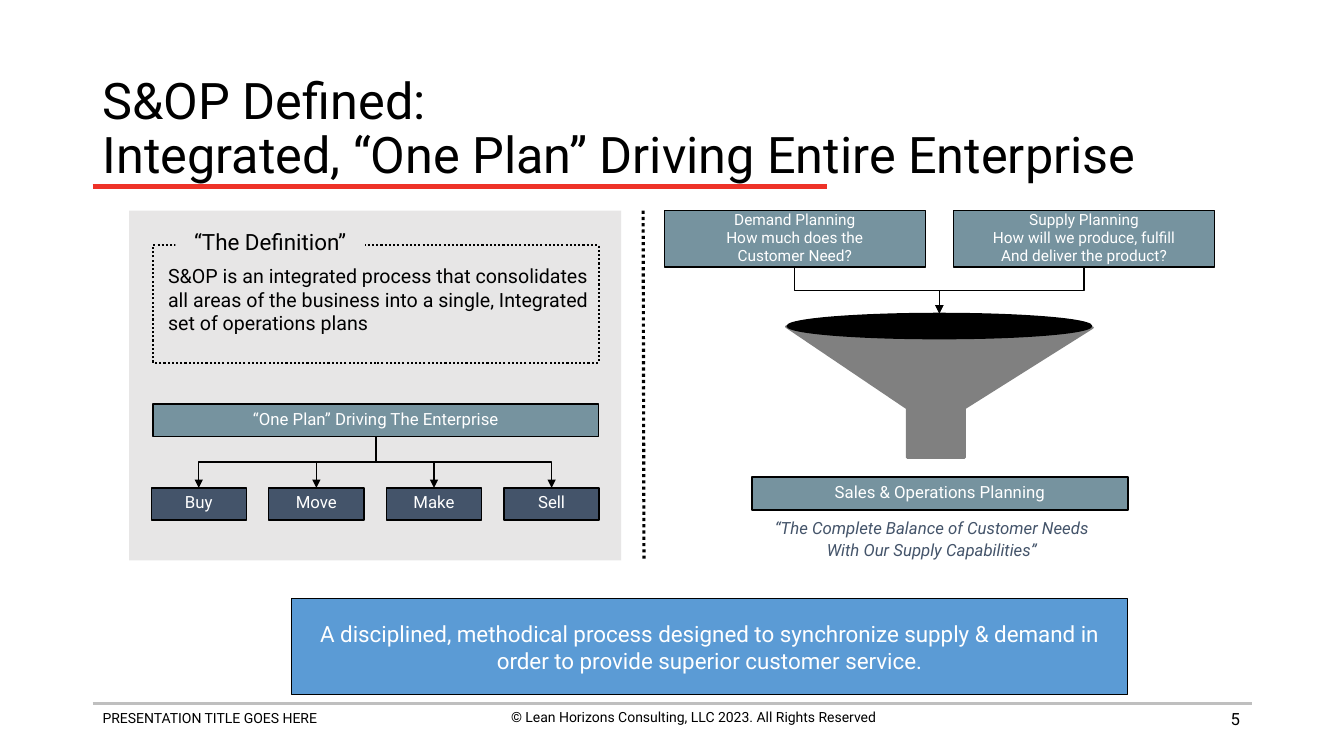
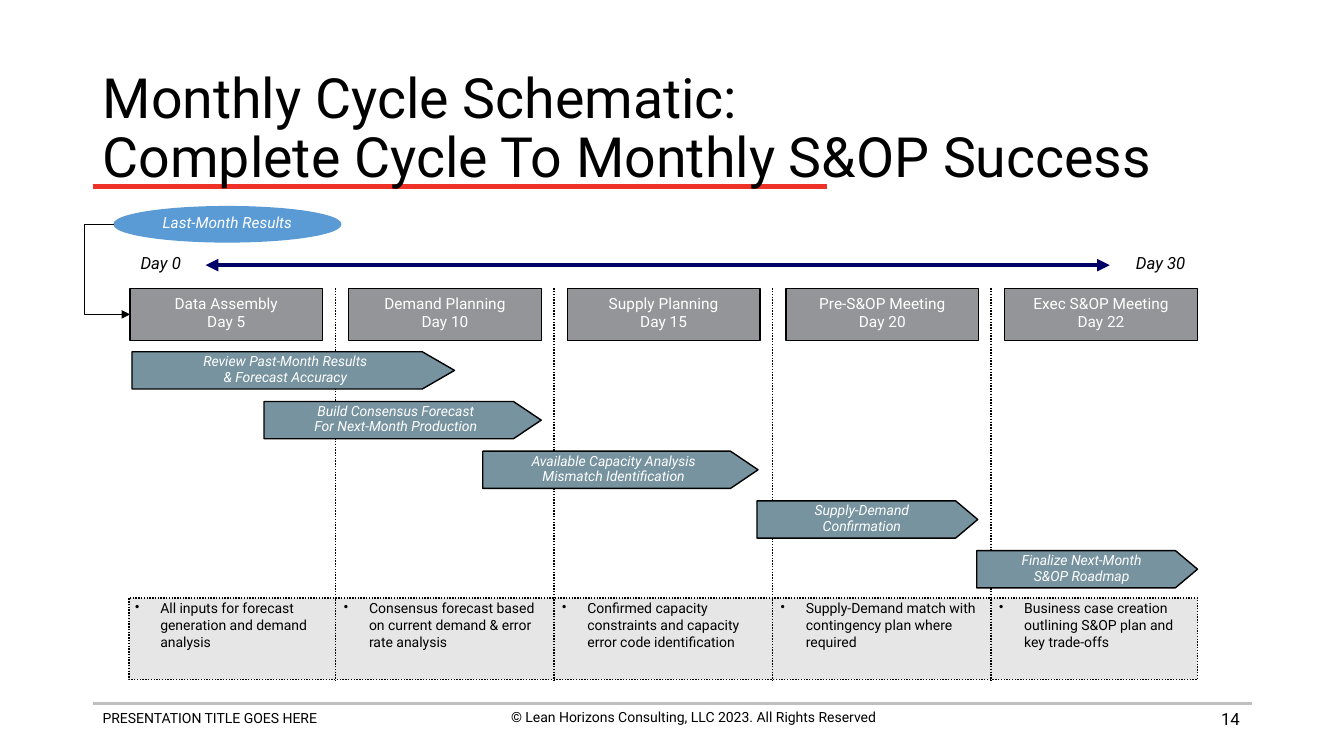
import pptx
import pptx.util
import pptx.dml.color
import pptx.enum.dml
import pptx.enum.shapes
import pptx.enum.text
import pptx.oxml
import pptx.oxml.ns
import lxml.etree

Pt = pptx.util.Pt
RGB = pptx.dml.color.RGBColor.from_string
SHAPE = pptx.enum.shapes.MSO_SHAPE
LINK = pptx.enum.shapes.MSO_CONNECTOR
ANCHOR = pptx.enum.text.MSO_ANCHOR
ALIGN = pptx.enum.text.PP_ALIGN
DOTTED = pptx.enum.dml.MSO_LINE.ROUND_DOT
qn = pptx.oxml.ns.qn


class Theme:
    font = "Roboto"
    black, white = RGB("000000"), RGB("FFFFFF")
    red, rule, panel = RGB("EE3228"), RGB("BFBFBF"), RGB("E7E6E6")
    blue, teal, slate = RGB("5B9BD5"), RGB("76939F"), RGB("44546A")
    stage, funnel, navy = RGB("939598"), RGB("808080"), RGB("000066")
    small, label, body, definition, lead = 10, 11, 12, 14, 16


def add_box(page, kind, at, lines=(), size=Theme.body, color=Theme.white, italic=False,
            fill=None, edge=None, weight=1, dash=None, align=ALIGN.CENTER,
            anchor=ANCHOR.MIDDLE, spacing=0.8, gap=0.2, wrap=False):
    """Add a preset shape, or a text box when kind is None, with its text."""
    place = [Pt(value) for value in at]
    if kind is None:
        box = page.shapes.add_textbox(*place)
    else:
        box = page.shapes.add_shape(kind, *place)
        box.shadow.inherit = False
        if fill is None:
            box.fill.background()
        else:
            box.fill.solid()
            box.fill.fore_color.rgb = fill
        if edge is None:
            box.line.fill.background()
        else:
            box.line.color.rgb = edge
            box.line.width = Pt(weight)
            box.line.dash_style = dash
    frame = box.text_frame
    frame.word_wrap = wrap
    frame.vertical_anchor = anchor
    letters = {"name": Theme.font, "size": Pt(size), "italic": italic}
    for number, line in enumerate(lines):
        paragraph = frame.add_paragraph() if number else frame.paragraphs[0]
        paragraph.alignment = align
        paragraph.line_spacing = spacing
        if number:
            paragraph.space_before = Pt(size * gap)
        run = paragraph.add_run()
        run.text = line
        for name, value in letters.items():
            setattr(run.font, name, value)
        run.font.color.rgb = color
    return box


def add_line(page, start, end, kind=LINK.STRAIGHT, color=Theme.black, weight=1,
             dash=None, heads=()):
    """Add a connector; heads lists the arrowheads, headEnd at its start, tailEnd at its end."""
    line = page.shapes.add_connector(kind, *[Pt(value) for value in (*start, *end)])
    line.line.color.rgb = color
    line.line.width = Pt(weight)
    line.line.dash_style = dash
    for head in heads:
        lxml.etree.SubElement(line.line._get_or_add_ln(), qn("a:" + head), type="triangle")
    lxml.etree.SubElement(line._element.spPr, qn("a:effectLst"))
    return line


deck = pptx.Presentation()
deck.slide_width, deck.slide_height = Pt(960), Pt(540)

# Shared title place and one slide for each title
layout = deck.slide_layouts[5]
title_place = {"left": Pt(66.2), "top": Pt(53.3), "width": Pt(828), "height": Pt(79.2)}
for name, value in title_place.items():
    setattr(layout.placeholders[0], name, value)

titles = [
    (36, "5", ("S&OP Defined:", "Integrated, “One Plan” Driving Entire Enterprise")),
    (39.6, "14", ("Monthly Cycle Schematic:", "Complete Cycle To Monthly S&OP Success")),
]
pages = []
for size, page_number, title_lines in titles:
    page = deck.slides.add_slide(layout)
    pages.append(page)
    frame = page.shapes.title.text_frame
    frame.auto_size = pptx.enum.text.MSO_AUTO_SIZE.NONE
    frame.vertical_anchor = ANCHOR.MIDDLE
    heading = frame.paragraphs[0]
    heading.alignment = ALIGN.LEFT
    heading.line_spacing = 0.9
    for number, line in enumerate(title_lines):
        if number:
            heading.add_line_break()
        run = heading.add_run()
        run.text = line
        for name, value in {"name": Theme.font, "size": Pt(size)}.items():
            setattr(run.font, name, value)
        run.font.color.rgb = Theme.black
    add_box(page, None, (676.8, 499, 216, 28.8), [page_number], color=Theme.black,
            align=ALIGN.RIGHT, spacing=1, wrap=True)

definition, cycle = pages

# Rules and footers, moved to the layout so that both slides show them
footer = dict(size=Theme.small, color=Theme.black, anchor=ANCHOR.TOP, spacing=1, wrap=True)
furniture = [
    add_line(definition, (66.2, 502.6), (894.2, 502.6), color=Theme.rule, weight=2),
    add_line(definition, (66.2, 133.2), (590.4, 133.2), color=Theme.red, weight=3),
    add_box(definition, None, (66.2, 503.3, 328.3, 31.7), ["PRESENTATION TITLE GOES HERE"],
            align=ALIGN.LEFT, **footer),
    add_box(definition, None, (331.2, 502.6, 328.3, 31.7),
            ["© Lean Horizons Consulting, LLC 2023. All Rights Reserved"], **footer),
]
for number, part in enumerate(furniture, 20):
    part._element.xpath(".//p:cNvPr")[0].set("id", str(number))
    layout.shapes._spTree.append(part._element)

# Slide 1: definition panel
add_box(definition, SHAPE.RECTANGLE, (92.2, 150.5, 351.4, 249.8), fill=Theme.panel)
add_box(definition, None, (113, 185, 329, 58.3),
        ["S&OP is an integrated process that consolidates all areas of the business "
         "into a single, Integrated set of operations plans"],
        size=Theme.definition, color=Theme.black, align=ALIGN.LEFT, anchor=ANCHOR.TOP,
        spacing=1, wrap=True)
add_box(definition, SHAPE.RECTANGLE, (109.4, 175, 318.2, 84.2), edge=Theme.black,
        weight=1.5, dash=DOTTED)
add_box(definition, SHAPE.RECTANGLE, (125.3, 163.4, 135.4, 23), ["“The Definition”"],
        size=Theme.lead, color=Theme.black, fill=Theme.panel, anchor=ANCHOR.TOP, wrap=True)

# One plan and its four actions
teal_box = dict(fill=Theme.teal, edge=Theme.black)
one_plan = add_box(definition, SHAPE.RECTANGLE, (109.4, 288.7, 318.2, 23),
                   ["“One Plan” Driving The Enterprise"], **teal_box)
flows = []
for number, action in enumerate(["Buy", "Move", "Make", "Sell"]):
    action_box = add_box(definition, SHAPE.RECTANGLE, (108 + 84 * number, 348.5, 68, 23),
                         [action], fill=Theme.slate, edge=Theme.black)
    flows.append((one_plan, action_box))

# Divider between the halves
add_line(definition, (459.4, 150.5), (460, 401), weight=2.25, dash=DOTTED)

# Funnel
builder = definition.shapes.build_freeform(Pt(561.6), Pt(233.3))
builder.add_line_segments(
    [(Pt(x), Pt(y)) for x, y in [(648, 291.6), (648, 326.9), (689, 326.9),
                                 (689, 291.6), (780.5, 234)]], close=True)
funnel = builder.convert_to_shape()
funnel.shadow.inherit = False
funnel.fill.solid()
funnel.fill.fore_color.rgb = Theme.funnel
funnel.line.color.rgb = Theme.funnel
funnel.line.width = Pt(1.75)
funnel_mouth = add_box(definition, SHAPE.OVAL, (562.3, 223.9, 217.4, 18),
                       fill=Theme.black, edge=Theme.black)

# The two plans that enter the funnel
plans = [
    (474.5, ["Demand Planning", "How much does the", "Customer Need?"]),
    (681.1, ["Supply Planning", "How will we produce, fulfill", "And deliver the product?"]),
]
for left, lines in plans:
    plan = add_box(definition, SHAPE.RECTANGLE, (left, 150.5, 186.5, 40.3), lines,
                   size=Theme.label, **teal_box)
    flows.append((plan, funnel_mouth))

# Elbow arrows from bottom to top: the frame is turned so that they leave downwards
for source, target in flows:
    start_x, start_y = source.left + source.width // 2, source.top + source.height
    across = target.left + target.width // 2 - start_x
    down = target.top - start_y
    arrow = add_line(definition, (0, 0), (0, 0), kind=LINK.ELBOW, heads=["tailEnd"])
    arrow.begin_connect(source, 2)
    arrow.end_connect(target, 0)
    turned = {"left": start_x + (across - down) // 2, "top": start_y + (down - abs(across)) // 2,
              "width": down, "height": abs(across)}
    for name, value in turned.items():
        setattr(arrow, name, value)
    turn = arrow._element.spPr.find(qn("a:xfrm"))
    for name in ("flipH", "flipV"):
        turn.attrib.pop(name, None)
    turn.set("rot", str((270 if across > 0 else 90) * 60000))
    if across > 0:
        turn.set("flipH", "1")

# Result of the funnel and closing message
add_box(definition, SHAPE.RECTANGLE, (537.1, 340.6, 268.6, 23.8),
        ["Sales & Operations Planning"], **teal_box)
add_box(definition, None, (542.9, 367.2, 245.5, 38.2),
        ["“The Complete Balance of Customer Needs", "With Our Supply Capabilities”"],
        color=Theme.slate, italic=True, anchor=ANCHOR.TOP, spacing=0.95)
add_box(definition, SHAPE.RECTANGLE, (208.1, 427.7, 597.6, 68.4),
        ["A disciplined, methodical process designed to synchronize supply & demand in "
         "order to provide superior customer service."],
        size=Theme.lead, fill=Theme.blue, edge=Theme.black, weight=0.75, spacing=1, wrap=True)

# Slide 2: the five stages of the month
stages = [
    ("Data Assembly", "Day 5"),
    ("Demand Planning", "Day 10"),
    ("Supply Planning", "Day 15"),
    ("Pre-S&OP Meeting", "Day 20"),
    ("Exec S&OP Meeting", "Day 22"),
]
stage_boxes = [
    add_box(cycle, SHAPE.RECTANGLE, (92.9 + 156.2 * number, 205.9, 137.5, 37.4), lines,
            size=Theme.label, fill=Theme.stage, edge=Theme.black)
    for number, lines in enumerate(stages)
]

# Last month feeds the first stage: the elbow runs out to the left of both shapes
last_month = add_box(cycle, SHAPE.OVAL, (81.4, 147.6, 162, 25.2), ["Last-Month Results"],
                     size=Theme.label, italic=True, fill=Theme.blue, edge=Theme.blue)
feed = add_line(cycle, (81.4, 160.2), (92.9, 224.6), kind=LINK.ELBOW, heads=["tailEnd"])
feed.begin_connect(last_month, 2)  # the left point of an oval
feed.end_connect(stage_boxes[0], 1)
feed_place = {"left": Pt(81.4), "top": Pt(160.2), "width": Pt(11.5), "height": Pt(64.4)}
for name, value in feed_place.items():
    setattr(feed, name, value)
for name in ("flipH", "flipV"):
    feed._element.spPr.find(qn("a:xfrm")).attrib.pop(name, None)
bend = feed._element.spPr.find(qn("a:prstGeom")).find(qn("a:avLst"))
lxml.etree.SubElement(bend, qn("a:gd"), name="adj1", fmla="val -184600")

# Time axis
add_line(cycle, (146.9, 189.4), (792.7, 189.4), color=Theme.navy, weight=3,
         heads=["headEnd", "tailEnd"])
for left, width, day in [(92.9, 43.9, "Day 0"), (803.5, 51.1, "Day 30")]:
    add_box(cycle, None, (left, 180, width, 18.7), [day], color=Theme.black,
            italic=True, anchor=ANCHOR.TOP)

# Outcome strip and stage dividers
add_box(cycle, SHAPE.RECTANGLE, (92.2, 427, 763.2, 58.3), fill=Theme.panel,
        edge=Theme.black, dash=DOTTED)
dividers = [239.8 + 156 * number for number in range(4)]
for x in dividers:
    add_line(cycle, (x, 205.9), (x, 486), dash=DOTTED)

# Staggered activities
activities = [
    (94.3, 230.4, ["Review Past-Month Results", "& Forecast Accuracy"]),
    (188.6, 198, ["Build Consensus Forecast", "For Next-Month Production"]),
    (344.9, 196.6, ["Available Capacity Analysis", "Mismatch Identification"]),
    (540.7, 157.7, ["Supply-Demand", "Confirmation"]),
    (697.7, 157.7, ["Finalize Next-Month", "S&OP Roadmap"]),
]
for number, (left, width, lines) in enumerate(activities):
    activity = add_box(cycle, SHAPE.PENTAGON, (left, 251.3 + 35.5 * number, width, 26.6), lines,
                       size=Theme.small, italic=True, gap=0.15, **teal_box)
    activity.adjustments[0] = 0.1 * width / 26.6

# Outcome of each stage
outcomes = [
    "All inputs for forecast generation and demand analysis",
    "Consensus forecast based on current demand & error rate analysis",
    "Confirmed capacity constraints and capacity error code identification",
    "Supply-Demand match with contingency plan where required",
    "Business case creation outlining S&OP plan and key trade-offs",
]
insets = {"margin_left": 5.8, "margin_right": 5.8, "margin_top": 2.9, "margin_bottom": 2.9}
for left, outcome in zip([90.7] + dividers, outcomes):
    note = add_box(cycle, None, (left, 425.5, 151.2, 42.5), [outcome], size=Theme.small,
                   color=Theme.black, align=ALIGN.LEFT, anchor=ANCHOR.TOP, spacing=1, wrap=True)
    for name, value in insets.items():
        setattr(note.text_frame, name, Pt(value))
    bullet = note.text_frame.paragraphs[0]._p.get_or_add_pPr()
    bullet.set("marL", str(Pt(18)))
    bullet.set("indent", str(-Pt(18)))
    lxml.etree.SubElement(bullet, qn("a:buSzPct"), val="90000")
    lxml.etree.SubElement(bullet, qn("a:buChar"), char="•")

deck.save("out.pptx")
